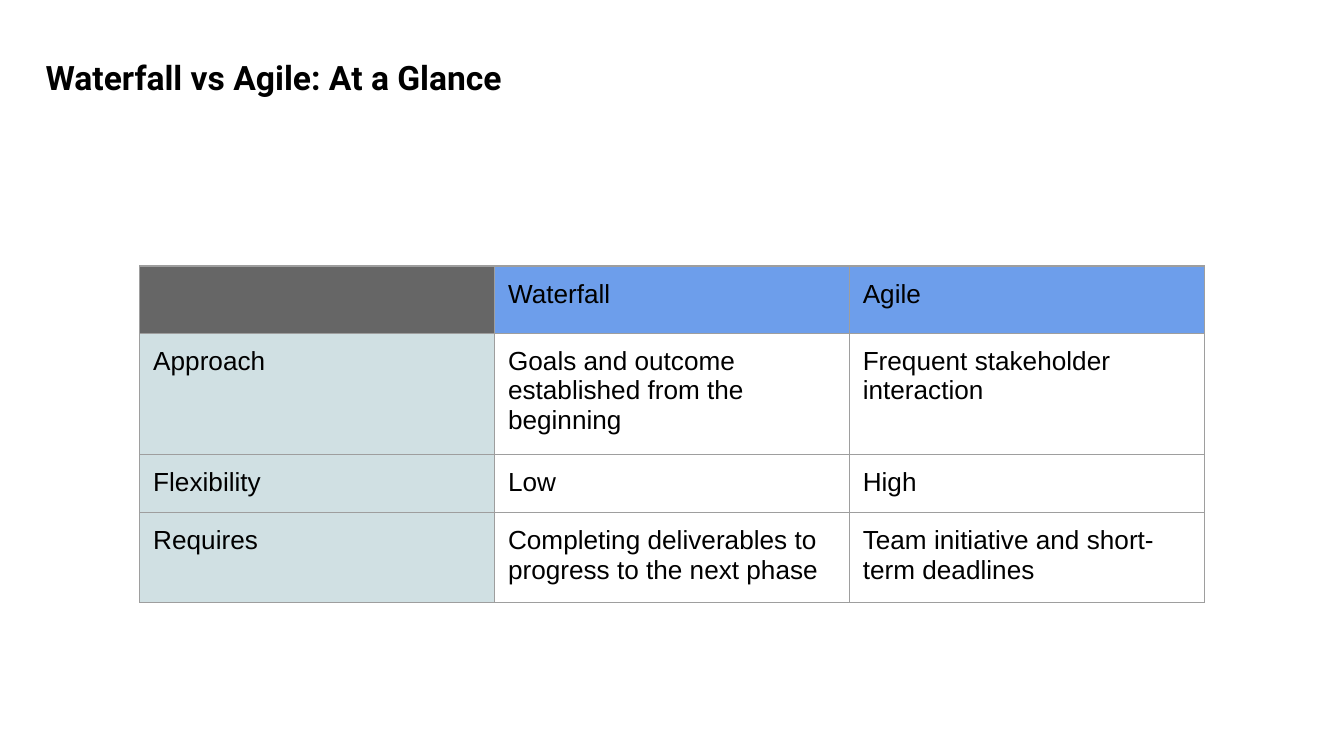
from lxml import etree
from pptx import Presentation
from pptx import util as u
from pptx.dml import color
from pptx.oxml import ns

HUES = {"ink": "000000", "corner": "666666", "head": "6D9EEB",
        "side": "D0E0E3", "edge": "9E9E9E"}
ROWS = [
    ["", "Waterfall", "Agile"],
    ["Approach", "Goals and outcome established from the beginning",
     "Frequent stakeholder interaction"],
    ["Flexibility", "Low", "High"],
    ["Requires", "Completing deliverables to progress to the next phase",
     "Team initiative and short-term deadlines"],
]


def style(para, face, size, bold=False):
    para.font.name = face
    para.font.size = u.Pt(size)
    para.font.bold = bold
    para.font.color.rgb = color.RGBColor.from_string(HUES["ink"])


def edge(cell):
    props = cell._tc.get_or_add_tcPr()
    for spot, side in enumerate(("lnL", "lnR", "lnT", "lnB")):
        line = etree.Element(ns.qn("a:" + side), w=str(u.Pt(0.75)))
        fill = etree.SubElement(line, ns.qn("a:solidFill"))
        etree.SubElement(fill, ns.qn("a:srgbClr"), val=HUES["edge"])
        props.insert(spot, line)


# Widescreen slide, 16:9
deck = Presentation()
deck.slide_width = u.Inches(10)
deck.slide_height = u.Inches(10 * 9 / 16)
slide = deck.slides.add_slide(deck.slide_layouts[6])

# Title
box = slide.shapes.add_textbox(u.Inches(0.34), u.Inches(0.42),
                               u.Inches(7.54), u.Inches(0.77))
frame = box.text_frame
frame.word_wrap = True
frame.margin_left = frame.margin_right = 0
frame.margin_top = frame.margin_bottom = 0
frame.text = "Waterfall vs Agile: At a Glance"
style(frame.paragraphs[0], "Roboto", 18, True)

# Comparison table; rows grow to fit their text
grid = slide.shapes.add_table(len(ROWS), len(ROWS[0]), u.Inches(1.04), u.Inches(1.98),
                              u.Inches(3.28), u.Inches(3.28))
table = grid.table
table.first_row = table.horz_banding = False
for col in table.columns:
    col.width = u.Inches(2.64)
for row in table.rows:
    row.height = u.Inches(0.42)
grid.width = grid.height = u.Inches(3.28)

for r, words in enumerate(ROWS):
    for c, word in enumerate(words):
        cell = table.cell(r, c)
        cell.margin_left = cell.margin_right = u.Inches(0.1)
        cell.margin_top = cell.margin_bottom = u.Inches(0.1)
        if word:
            cell.text = word
            style(cell.text_frame.paragraphs[0], "Arial", 14)

        # Header row and label column are filled, the rest is clear
        if r and c:
            cell.fill.background()
        else:
            hue = "side" if r else "head" if c else "corner"
            cell.fill.solid()
            cell.fill.fore_color.rgb = color.RGBColor.from_string(HUES[hue])
        edge(cell)

deck.save("out.pptx")
